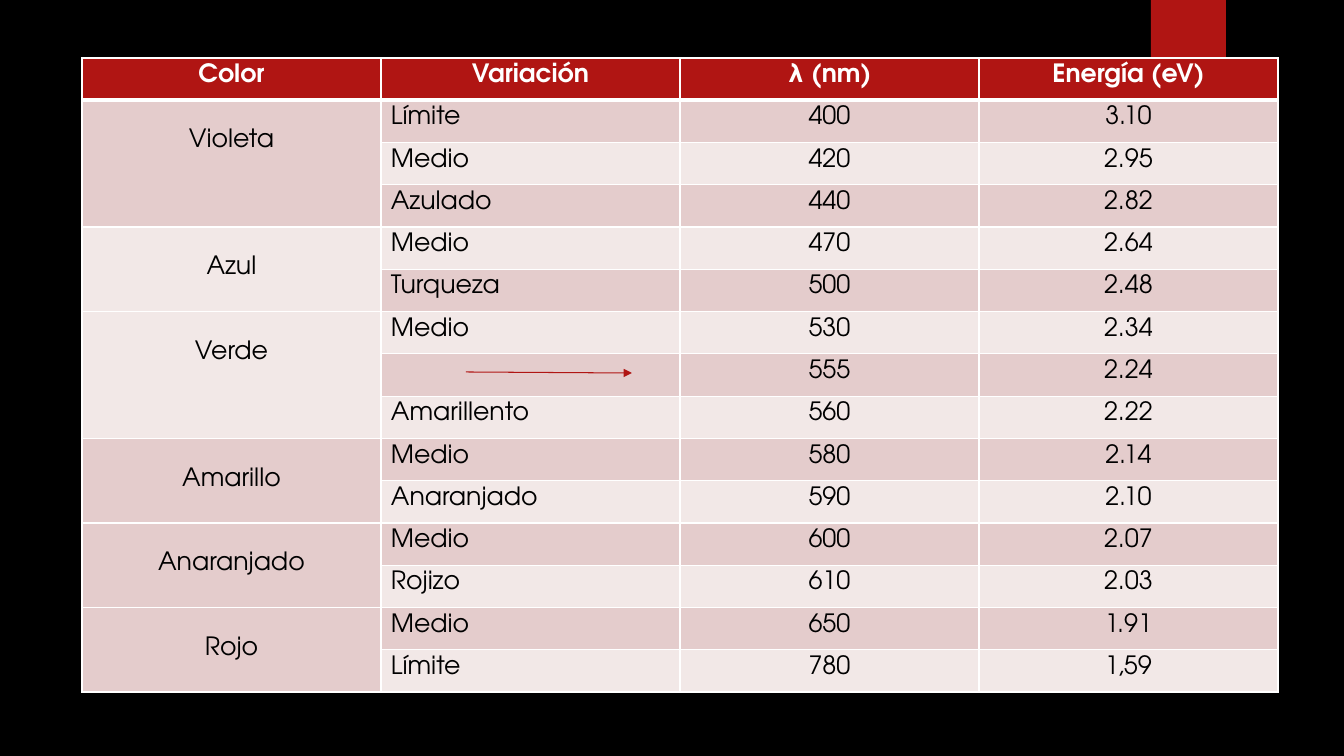
import lxml.etree
import pptx
import pptx.dml.color
import pptx.enum.shapes
import pptx.enum.text
import pptx.oxml.ns
import pptx.util

EMU_PER_PIXEL = 914400 / 100.8
FONT = "TeX Gyre Adventor"
RED, WHITE, BLACK = "B01513", "FFFFFF", "000000"
BANDS = ["E4CCCC", "F2E8E7"]
CENTER = pptx.enum.text.PP_ALIGN.CENTER
LEFT = pptx.enum.text.PP_ALIGN.LEFT

HEADINGS = ["Color", "Variación", "λ (nm)", "Energía (eV)"]
SPECTRUM = {
    "Violeta": [("Límite", "400", "3.10"), ("Medio", "420", "2.95"), ("Azulado", "440", "2.82")],
    "Azul": [("Medio", "470", "2.64"), ("Turqueza", "500", "2.48")],
    "Verde": [("Medio", "530", "2.34"), ("", "555", "2.24"), ("Amarillento", "560", "2.22")],
    "Amarillo": [("Medio", "580", "2.14"), ("Anaranjado", "590", "2.10")],
    "Anaranjado": [("Medio", "600", "2.07"), ("Rojizo", "610", "2.03")],
    "Rojo": [("Medio", "650", "1.91"), ("Límite", "780", "1,59")],
}


def px(length):
    return pptx.util.Emu(round(length * EMU_PER_PIXEL))


def color(value):
    return pptx.dml.color.RGBColor.from_string(value)


def set_values(target, values):
    for name, value in values.items():
        setattr(target, name, value)


def add_element(parent, tag, **attributes):
    return lxml.etree.SubElement(parent, pptx.oxml.ns.qn(tag), attributes)


def paint(fill, value):
    fill.solid()
    fill.fore_color.rgb = color(value)


def add_borders(cell, widths):
    properties = cell._tc.get_or_add_tcPr()
    for side, width in widths.items():
        border = add_element(properties, f"a:ln{side}", w=str(pptx.util.Pt(width)))
        add_element(add_element(border, "a:solidFill"), "a:srgbClr", val=WHITE)


def write_cell(cell, text, fill, alignment=CENTER, font_color=BLACK, bold=False, top=6):
    set_values(cell, {"margin_left": px(10), "margin_right": px(10),
                      "margin_top": px(top), "margin_bottom": 0})
    paint(cell.fill, fill)
    paragraph = cell.text_frame.paragraphs[0]
    paragraph.text = text
    paragraph.alignment = alignment
    set_values(paragraph.font, {"name": FONT, "size": pptx.util.Pt(18), "bold": bold})
    paragraph.font.color.rgb = color(font_color)


def add_spectrum_table(slide, left, top, width, height):
    row_count = 1 + sum(len(variations) for variations in SPECTRUM.values())
    table = slide.shapes.add_table(row_count, len(HEADINGS), px(left), px(top),
                                   px(width), px(height)).table
    table.horz_banding = False
    for row in table.rows:
        row.height = px(height / row_count)
    for row in range(row_count):
        for column in range(len(HEADINGS)):
            add_borders(table.cell(row, column), {
                "L": 1, "R": 1, "T": 3 if row == 1 else 1, "B": 3 if row == 0 else 1})
    for column, heading in enumerate(HEADINGS):
        write_cell(table.cell(0, column), heading, RED, font_color=WHITE, bold=True)
    row = 1
    for name, variations in SPECTRUM.items():
        group = table.cell(row, 0)
        group.merge(table.cell(row + len(variations) - 1, 0))
        write_cell(group, name, BANDS[(row - 1) % 2], top=29)
        for values in variations:
            for column, value in enumerate(values, 1):
                write_cell(table.cell(row, column), value, BANDS[(row - 1) % 2],
                           LEFT if column == 1 else CENTER)
            row += 1


def add_rectangle(slide, left, top, width, height, fill):
    shape = slide.shapes.add_shape(pptx.enum.shapes.MSO_SHAPE.RECTANGLE,
                                   px(left), px(top), px(width), px(height))
    shape.shadow.inherit = False
    paint(shape.fill, fill)
    shape.line.fill.background()


def add_arrow(slide, start_x, start_y, end_x, end_y):
    arrow = slide.shapes.add_connector(pptx.enum.shapes.MSO_CONNECTOR.STRAIGHT,
                                       px(start_x), px(start_y), px(end_x), px(end_y))
    arrow.line.color.rgb = color(RED)
    arrow.line.width = pptx.util.Pt(0.75)
    add_element(arrow.line._get_or_add_ln(), "a:tailEnd", type="triangle")
    add_element(arrow._element.spPr, "a:effectLst")


def main():
    presentation = pptx.Presentation()
    set_values(presentation, {"slide_width": px(1344), "slide_height": px(756)})
    slide = presentation.slides.add_slide(presentation.slide_layouts[6])
    paint(slide.background.fill, BLACK)
    add_rectangle(slide, 1151, 0, 75, 126, RED)
    add_spectrum_table(slide, 82, 58, 1196, 634)
    add_arrow(slide, 466, 372, 632, 373)
    presentation.save("out.pptx")


if __name__ == "__main__":
    main()
